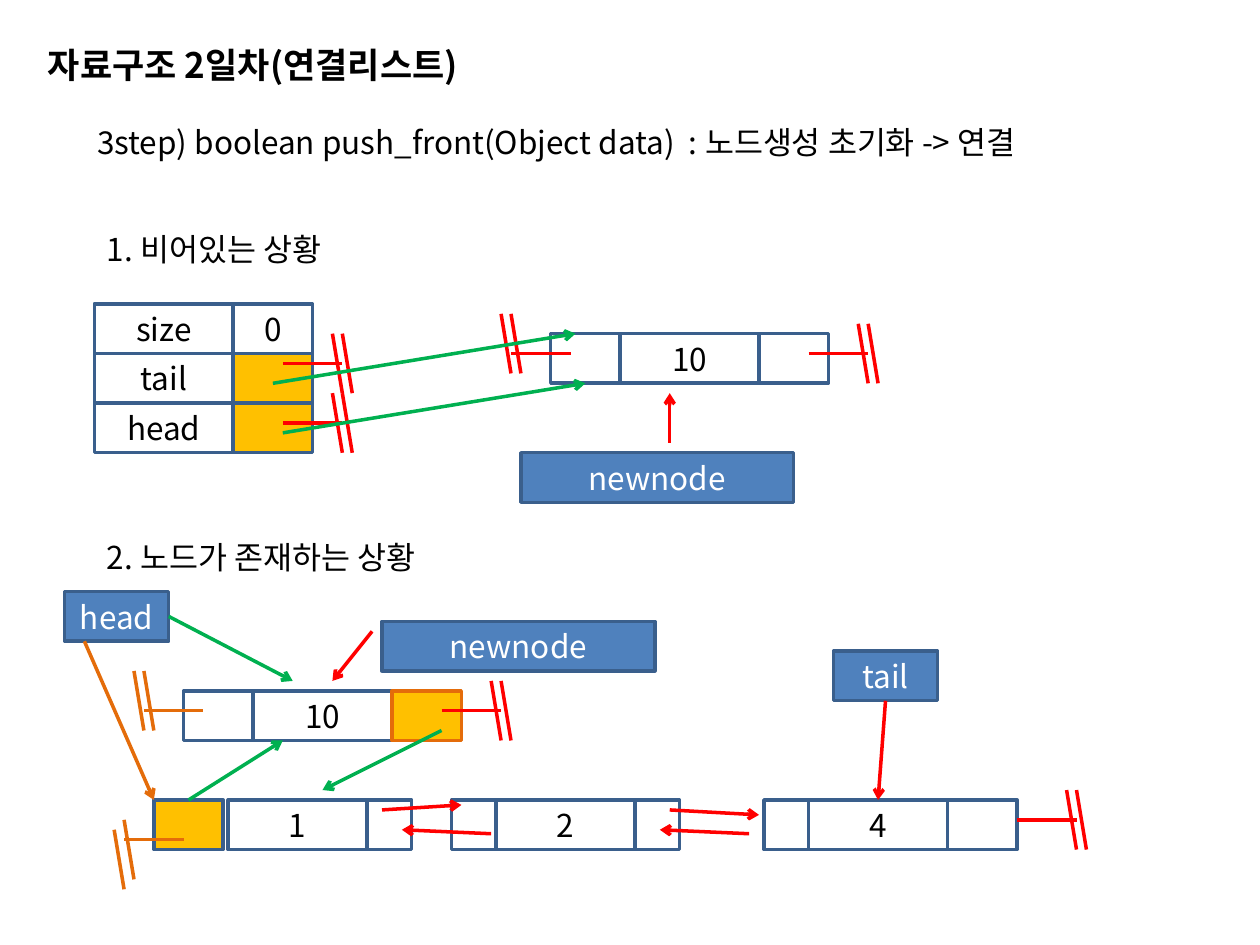
from dataclasses import dataclass

from lxml.etree import SubElement
from pptx import Presentation
from pptx.dml.color import RGBColor
from pptx.enum.shapes import MSO_CONNECTOR as Link, MSO_SHAPE as Preset
from pptx.enum.text import MSO_ANCHOR as Anchor, MSO_AUTO_SIZE as Fit, PP_ALIGN as Align
from pptx.oxml.ns import qn
from pptx.util import Inches, Pt

FONT = "Noto Sans CJK KR"
COLORS = {"black": "000000", "white": "FFFFFF", "navy": "3A5F8C", "blue": "4F81BD",
          "gold": "FFC000", "red": "FF0000", "green": "00B050", "orange": "E46C0A"}
WIDTH, HEIGHT = 10, 7.5
UNIT = WIDTH / 127  # the drawing grid is 127 columns wide
LEFT, TOP = 0.04, 0.05
CELL_ROWS = 5


@dataclass(frozen=True)
class Cell:
    col: float
    row: float
    cols: float
    text: str = ""
    fill: str | None = None
    line: str = "navy"


@dataclass(frozen=True)
class Joint:
    cell: Cell
    site: int


Point = tuple[float, float]
End = Point | Joint


@dataclass(frozen=True)
class Arrow:
    start: End
    end: End
    color: str


@dataclass(frozen=True)
class Ground:
    """A null mark: a stem and two slanted bars, their tops relative to the stem's start."""
    col: float
    row: float
    color: str = "red"
    bars: tuple[Point, Point] = ((5, -3), (6, -3))


@dataclass(frozen=True)
class Caption:
    text: str
    left: float
    top: float
    width: float
    height: float
    size: int = 18
    bold: bool = False


def rgb(name: str) -> RGBColor:
    return RGBColor.from_string(COLORS[name])


def grid_x(col: float):
    return Inches(LEFT + col * UNIT)


def grid_y(row: float):
    return Inches(TOP + row * UNIT)


def write(para, text: str, color: str = "black", size: int = 18, bold: bool = False):
    span = para.add_run()
    span.text = text
    for name, value in {"name": FONT, "size": Pt(size), "bold": bold}.items():
        setattr(span.font, name, value)
    span.font.color.rgb = rgb(color)
    SubElement(span._r.get_or_add_rPr(), qn("a:ea"), typeface=FONT)


def draw_caption(box, caption: Caption, wrap: bool = False):
    places = {"left": caption.left * WIDTH, "top": caption.top * HEIGHT,
              "width": caption.width * WIDTH, "height": caption.height * HEIGHT}
    for name, value in places.items():
        setattr(box, name, Inches(value))
    frame = box.text_frame
    for name, value in {"word_wrap": wrap, "auto_size": Fit.NONE,
                        "vertical_anchor": Anchor.TOP}.items():
        setattr(frame, name, value)
    para = frame.paragraphs[0]
    for name, value in {"alignment": Align.LEFT, "space_before": Pt(0)}.items():
        setattr(para, name, value)
    if box.is_placeholder:
        props = para._p.get_or_add_pPr()
        props.set("marL", "0")
        props.set("indent", "0")
        SubElement(props, qn("a:buNone"))
    write(para, caption.text, size=caption.size, bold=caption.bold)


def draw_cell(page, cell: Cell):
    box = page.shapes.add_shape(Preset.RECTANGLE, grid_x(cell.col), grid_y(cell.row),
                                Inches(cell.cols * UNIT), Inches(CELL_ROWS * UNIT))
    box.shadow.inherit = False
    if cell.fill:
        box.fill.solid()
        box.fill.fore_color.rgb = rgb(cell.fill)
    else:
        box.fill.background()
    box.line.color.rgb = rgb(cell.line)
    box.line.width = Pt(2)
    if cell.text:
        box.text_frame.vertical_anchor = Anchor.MIDDLE
        para = box.text_frame.paragraphs[0]
        para.alignment = Align.CENTER
        write(para, cell.text, "white" if cell.fill == "blue" else "black")
    return box


def draw_line(page, start: Point, end: Point, color: str):
    line = page.shapes.add_connector(Link.STRAIGHT, grid_x(start[0]), grid_y(start[1]),
                                     grid_x(end[0]), grid_y(end[1]))
    line.line.color.rgb = rgb(color)
    line.line.width = Pt(2)
    SubElement(line._element.spPr, qn("a:effectLst"))
    return line


def draw_arrow(page, arrow: Arrow, boxes: dict):
    ends = [(end.cell.col, end.cell.row) if isinstance(end, Joint) else end
            for end in (arrow.start, arrow.end)]
    line = draw_line(page, *ends, arrow.color)
    SubElement(line.line._get_or_add_ln(), qn("a:tailEnd"), type="arrow")
    for end, connect in ((arrow.start, line.begin_connect), (arrow.end, line.end_connect)):
        if isinstance(end, Joint):
            connect(boxes[end.cell], end.site)


def draw_ground(page, ground: Ground):
    col, row = ground.col, ground.row
    draw_line(page, (col, row), (col + 6, row), ground.color)
    for right, down in ground.bars:
        top = (col + right, row + down)
        draw_line(page, top, (top[0] + 1, top[1] + 6), ground.color)


TITLE = Caption("자료구조 2일차(연결리스트)", 0.028, 0.039, 0.654, 0.058, 20, True)
STEP = Caption("3step) boolean push_front(Object data)  : 노드생성 초기화 -> 연결",
               0.067, 0.123, 0.785, 0.256)
CASES = [Caption("1. 비어있는 상황", 0.075, 0.237, 0.209, 0.053),
         Caption("2. 노드가 존재하는 상황", 0.075, 0.563, 0.294, 0.053)]

HEAD = Cell(6, 59, 10.5, "head", "blue")
TAIL = Cell(83.5, 65, 10.5, "tail", "blue")
FIRST_PREV = Cell(15, 80, 7, fill="gold")
LAST_NODE = Cell(81, 80, 14, "4")
FIELDS = [("size", "0", None), ("tail", "", "gold"), ("head", "", "gold")]
CELLS = [
    *(Cell(9, 30 + i * CELL_ROWS, 14, name) for i, (name, _, _) in enumerate(FIELDS)),
    *(Cell(23, 30 + i * CELL_ROWS, 8, value, fill)
      for i, (_, value, fill) in enumerate(FIELDS)),
    Cell(55, 33, 7, fill="white"), Cell(62, 33, 14, "10"), Cell(76, 33, 7, fill="white"),
    Cell(52, 45, 27.5, "newnode", "blue"),
    FIRST_PREV, Cell(22.5, 80, 14, "1"), Cell(36.5, 80, 4.5),
    Cell(45, 80, 4.5), Cell(49.5, 80, 14, "2"), Cell(63.5, 80, 4.5),
    Cell(76.5, 80, 4.5), LAST_NODE, Cell(95, 80, 7),
    Cell(18, 69, 7, fill="white"), Cell(25, 69, 14, "10"),
    Cell(39, 69, 7, fill="gold", line="orange"),
    Cell(38, 62, 27.5, "newnode", "blue"), HEAD, TAIL,
]
FACING_LEFT = ((-1, -4), (0, -4))
GROUNDS = [
    Ground(28, 42), Ground(28, 36), Ground(81, 35), Ground(51, 35, bars=FACING_LEFT),
    Ground(12, 84, "orange", ((0, -2), (-1, -1))), Ground(102, 82), Ground(44, 71),
    Ground(14, 71, "orange", FACING_LEFT),
]
ARROWS = [
    Arrow((67, 44), (67, 39), "red"),
    Arrow((28, 43), (58.5, 38), "green"),
    Arrow((27, 38), (57.5, 33), "green"),
    Arrow((8, 64), (15, 80), "orange"),
    Arrow((49, 83.4), (40, 83), "red"),
    Arrow(Joint(TAIL, 2), Joint(LAST_NODE, 0), "red"),
    Arrow((75, 83.4), (66, 83), "red"),
    Arrow((38, 81), (46, 80.5), "red"),
    Arrow((67, 81), (76, 81.5), "red"),
    Arrow((37, 63), (33, 68), "red"),
    Arrow((44, 73), (32, 79), "green"),
    Arrow(Joint(HEAD, 3), (29, 68), "green"),
    Arrow(Joint(FIRST_PREV, 0), (28, 74), "green"),
]


def main():
    deck = Presentation()
    deck.slide_width, deck.slide_height = Inches(WIDTH), Inches(HEIGHT)
    page = deck.slides.add_slide(deck.slide_layouts[1])
    draw_caption(page.shapes.title, TITLE, wrap=True)
    draw_caption(page.placeholders[1], STEP)
    for case in CASES:
        draw_caption(page.shapes.add_textbox(0, 0, 0, 0), case)
    boxes = {cell: draw_cell(page, cell) for cell in CELLS}
    for ground in GROUNDS:
        draw_ground(page, ground)
    for arrow in ARROWS:
        draw_arrow(page, arrow, boxes)
    deck.save("out.pptx")


if __name__ == "__main__":
    main()
